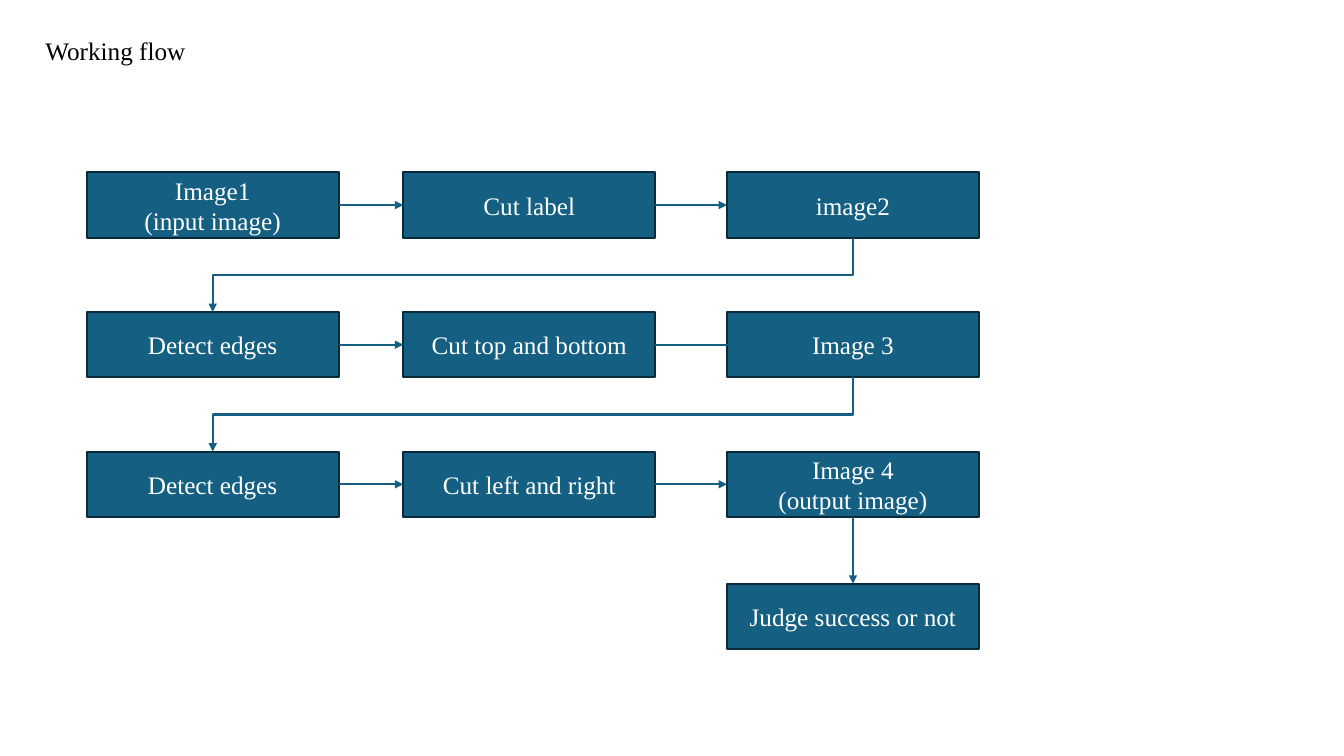
from lxml import etree
from pptx import Presentation, dml
from pptx import util as u
from pptx.dml import color
from pptx.enum import shapes, text
from pptx.oxml import ns

FONT = "Times New Roman"
BLUE, EDGE = "156082", "092A39"
WIDE, HIGH = 2.5, 0.65
COLS = [0.86, 4, 7.21]
TOP, STEP = 1.71, 1.385
ROWS = [
    ["Image1\n(input image)", "Cut label", "image2"],
    ["Detect edges", "Cut top and bottom", "Image 3"],
    ["Detect edges", "Cut left and right", "Image 4\n(output image)"],
]


def rgb(code):
    return color.RGBColor.from_string(code)


def write(frame, words, hue, align):
    para = frame.paragraphs[0]
    para.alignment = align
    for i, part in enumerate(words.split("\n")):
        if i:
            para.add_line_break()
        run = para.add_run()
        run.text = part
        run.font.name = FONT
        run.font.size = u.Pt(18)
        run.font.color.rgb = rgb(hue)


def head(slide, words):
    title = slide.shapes.title
    title.left, title.top = u.Inches(0.35), u.Inches(0.3)
    title.width, title.height = u.Inches(3.36), u.Inches(0.4)
    frame = title.text_frame
    frame.auto_size = text.MSO_AUTO_SIZE.NONE
    frame.vertical_anchor = text.MSO_ANCHOR.TOP
    write(frame, words, "000000", text.PP_ALIGN.LEFT)


def box(slide, x, y, words):
    rect = slide.shapes.add_shape(
        shapes.MSO_SHAPE.RECTANGLE,
        u.Inches(x), u.Inches(y), u.Inches(WIDE), u.Inches(HIGH))
    rect.shadow.inherit = False
    rect.fill.solid()
    rect.fill.fore_color.rgb = rgb(BLUE)
    rect.line.color.rgb = rgb(EDGE)
    rect.line.width = u.Pt(1.5)
    frame = rect.text_frame
    frame.word_wrap = True
    frame.vertical_anchor = text.MSO_ANCHOR.MIDDLE
    write(frame, words, "FFFFFF", text.PP_ALIGN.CENTER)
    return rect


def link(slide, kind, x1, y1, x2, y2):
    line = slide.shapes.add_connector(kind, x1, y1, x2, y2)
    line.line.color.rgb = rgb(BLUE)
    line.line.width = u.Pt(1.5)
    props = line._element.spPr
    tail = etree.SubElement(props.find(ns.qn("a:ln")), ns.qn("a:tailEnd"))
    tail.set("type", "triangle")
    etree.SubElement(props, ns.qn("a:effectLst"))
    return line


def join(slide, start, side, end, goal):
    line = link(slide, shapes.MSO_CONNECTOR.STRAIGHT, 0, 0, 0, 0)
    line.begin_connect(start, side)
    line.end_connect(end, goal)
    return line


def wrap(slide, start, end):
    x1, y1 = start.left + start.width // 2, start.top + start.height
    x2, y2 = end.left + end.width // 2, end.top
    mid_x, mid_y = (x1 + x2) // 2, (y1 + y2) // 2
    half_w, half_h = (y2 - y1) // 2, (x1 - x2) // 2
    line = link(slide, shapes.MSO_CONNECTOR.ELBOW,
                mid_x - half_w, mid_y - half_h,
                mid_x + half_w, mid_y + half_h)
    line._element.spPr.find(ns.qn("a:xfrm")).set("rot", str(90 * 60000))


def main():
    deck = Presentation()
    deck.slide_width, deck.slide_height = u.Inches(13.33), u.Inches(7.5)
    slide = deck.slides.add_slide(deck.slide_layouts[5])
    head(slide, "Working flow")
    grid = [[box(slide, x, TOP + STEP * i, words)
             for x, words in zip(COLS, row)]
            for i, row in enumerate(ROWS)]
    judge = box(slide, COLS[2], 5.79, "Judge success or not")
    for i, (left, mid, right) in enumerate(grid):
        join(slide, left, 3, mid, 1)
        if i == 1:
            y = mid.top + mid.height // 2
            link(slide, shapes.MSO_CONNECTOR.STRAIGHT,
                 mid.left + mid.width, y, u.Inches(7.48), y
                 ).begin_connect(mid, 3)
        else:
            join(slide, mid, 3, right, 1)
    for row, below in zip(grid, grid[1:]):
        wrap(slide, row[2], below[0])
    join(slide, grid[2][2], 2, judge, 0)
    deck.save("out.pptx")


if __name__ == "__main__":
    main()
